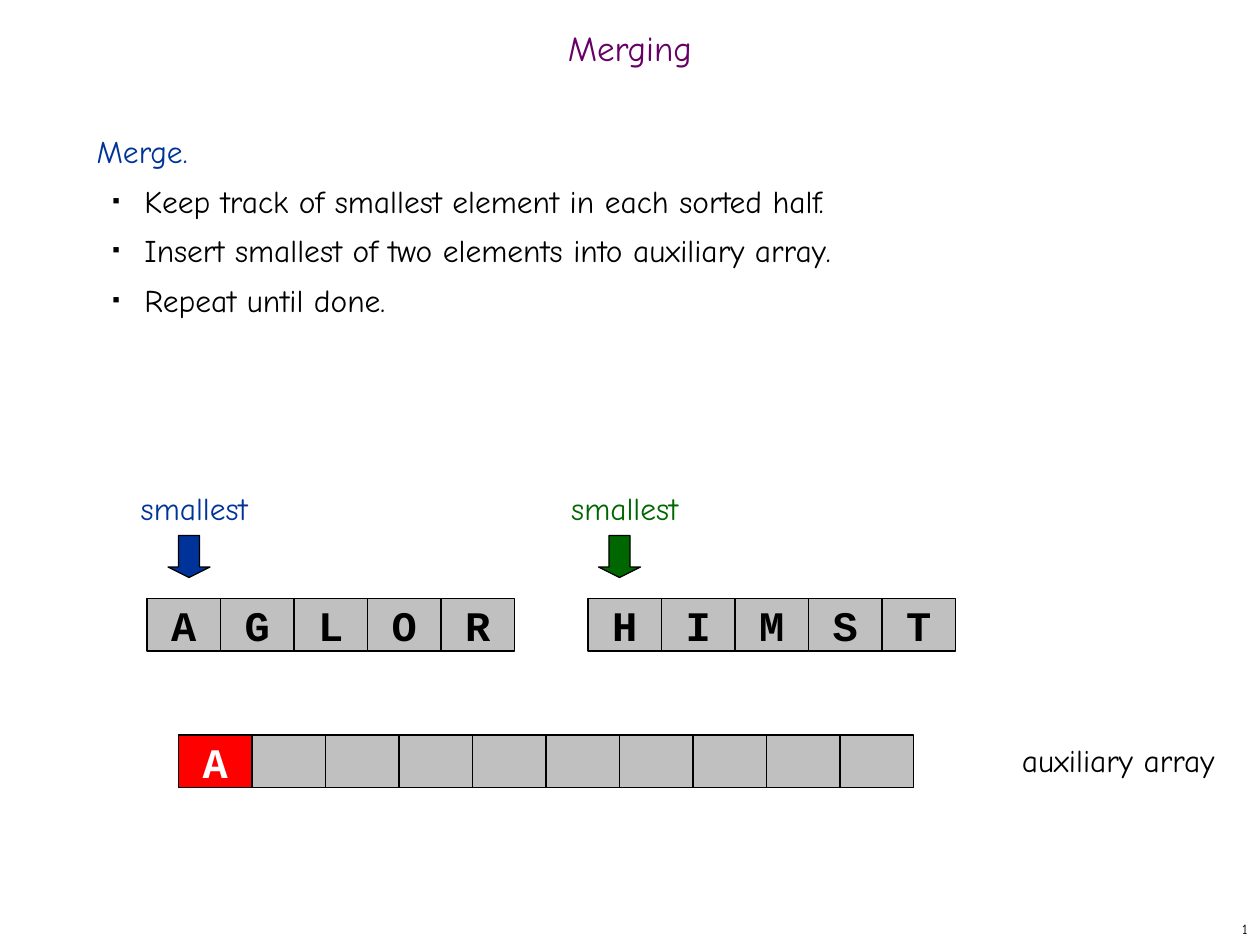
from lxml.etree import SubElement
from pptx import Presentation
from pptx.dml.color import RGBColor
from pptx.enum.shapes import MSO_SHAPE
from pptx.enum.text import MSO_ANCHOR, MSO_AUTO_SIZE, PP_ALIGN
from pptx.oxml.ns import qn
from pptx.util import Inches, Pt

BLUE, GREEN, PURPLE, RED = "003399", "006600", "660066", "FF0000"
BLACK, WHITE, GREY = "000000", "FFFFFF", "C0C0C0"
CELL_W, CELL_H = 7, 5


def rgb(value):
    return RGBColor.from_string(value)


def grid(*units):
    """Turn grid units (twelve to the inch) into lengths."""
    return [Inches(u / 12) for u in units]


class Deck:
    text_font = {"name": "Comic Neue", "size": Pt(18), "bold": False}
    cell_font = {"name": "Courier New", "size": Pt(24), "bold": True}

    def __init__(self):
        self.prs = Presentation()
        self.prs.slide_width, self.prs.slide_height = grid(120, 90)
        self.s = self.prs.slides.add_slide(self.prs.slide_layouts[1])

    def add_text(self, p, text, color, font, **layout):
        r = p.add_run()
        r.text = text
        for name, value in font.items():
            setattr(r.font, name, value)
        r.font.color.rgb = rgb(color)
        for name, value in layout.items():
            setattr(p, name, value)

    def place(self, sp, box):
        sp.left, sp.top, sp.width, sp.height = grid(*box)

    def title(self, text, box):
        sp = self.s.shapes.title
        self.place(sp, box)
        tf = sp.text_frame
        tf.vertical_anchor, tf.auto_size = MSO_ANCHOR.MIDDLE, MSO_AUTO_SIZE.NONE
        self.add_text(tf.paragraphs[0], text, PURPLE, self.text_font | {"size": Pt(20)},
                      alignment=PP_ALIGN.CENTER, line_spacing=0.7)

    def body(self, heading, items, box):
        sp = self.s.placeholders[1]
        self.place(sp, box)
        tf = sp.text_frame
        tf.auto_size = MSO_AUTO_SIZE.NONE
        p = tf.paragraphs[0]
        self.add_text(p, heading, BLUE, self.text_font, space_before=Pt(4.5))
        self.indent(p, 0, 0)
        SubElement(p._p.get_or_add_pPr(), qn("a:buNone"))
        for item in items:
            p = tf.add_paragraph()
            self.add_text(p, item, BLACK, self.text_font,
                          level=1, space_before=Pt(4.5), line_spacing=1.1)
            self.indent(p, 0.38, -0.25)
            self.bullet(p)

    def indent(self, p, margin, first):
        pPr = p._p.get_or_add_pPr()
        pPr.set("marL", str(Inches(margin)))
        pPr.set("indent", str(Inches(first)))

    def bullet(self, p):
        pPr = p._p.get_or_add_pPr()
        SubElement(SubElement(pPr, qn("a:buClr")), qn("a:srgbClr"), val=BLACK)
        SubElement(pPr, qn("a:buSzPct"), val="35000")
        SubElement(pPr, qn("a:buFont"), typeface="Arial")
        SubElement(pPr, qn("a:buChar"), char="■")

    def label(self, text, box, color=BLACK, size=18, align=PP_ALIGN.CENTER,
              anchor=MSO_ANCHOR.TOP, before=11.2):
        tf = self.s.shapes.add_textbox(*grid(*box)).text_frame
        tf.word_wrap, tf.vertical_anchor = True, anchor
        self.add_text(tf.paragraphs[0], text, color, self.text_font | {"size": Pt(size)},
                      alignment=align, space_before=Pt(before))

    def shape(self, shapes, kind, box, fill):
        sp = shapes.add_shape(kind, *grid(*box))
        sp.shadow.inherit = False
        sp.fill.solid()
        sp.fill.fore_color.rgb = rgb(fill)
        sp.line.color.rgb = rgb(BLACK)
        sp.line.width = Pt(0.75)
        return sp

    def cell(self, shapes, left, top, letter="", fill=GREY, color=BLACK):
        sp = self.shape(shapes, MSO_SHAPE.RECTANGLE, (left, top, CELL_W, CELL_H), fill)
        if letter:
            tf = sp.text_frame
            tf.word_wrap, tf.vertical_anchor = False, MSO_ANCHOR.MIDDLE
            self.add_text(tf.paragraphs[0], letter, color, self.cell_font,
                          alignment=PP_ALIGN.CENTER)

    def array(self, letters, left, top):
        """Draw a row of joined cells as one group."""
        group = self.s.shapes.add_group_shape()
        for i, letter in enumerate(letters):
            self.cell(group.shapes, left + i * CELL_W, top, letter)

    def pointer(self, left, color):
        """Draw the "smallest" label with its arrow below."""
        self.label("smallest", (left, 46, 25, 4.8), color)
        self.shape(self.s.shapes, MSO_SHAPE.DOWN_ARROW, (left + 10, 51, 4, 4),
                   color).adjustments[1] = 0.25


def main():
    deck = Deck()
    deck.title("Merging", (0, 2, 120, 6))
    deck.body("Merge.", [
        "Keep track of smallest element in each sorted half.",
        "Insert smallest of two elements into auxiliary array.",
        "Repeat until done.",
    ], (8, 12, 103, 71))

    for left, color in ((6, BLUE), (47, GREEN)):
        deck.pointer(left, color)
    for letters, left in (("AGLOR", 14), ("HIMST", 56)):
        deck.array(letters, left, 57)

    deck.cell(deck.s.shapes, 17, 70, "A", RED, WHITE)
    deck.array([""] * 9, 17 + CELL_W, 70)
    deck.label("auxiliary array", (95, 70, 23, 4.8))
    deck.label("1", (95, 87, 25, 3), size=8, align=PP_ALIGN.RIGHT,
               anchor=MSO_ANCHOR.MIDDLE, before=0)
    deck.prs.save("out.pptx")


if __name__ == "__main__":
    main()
